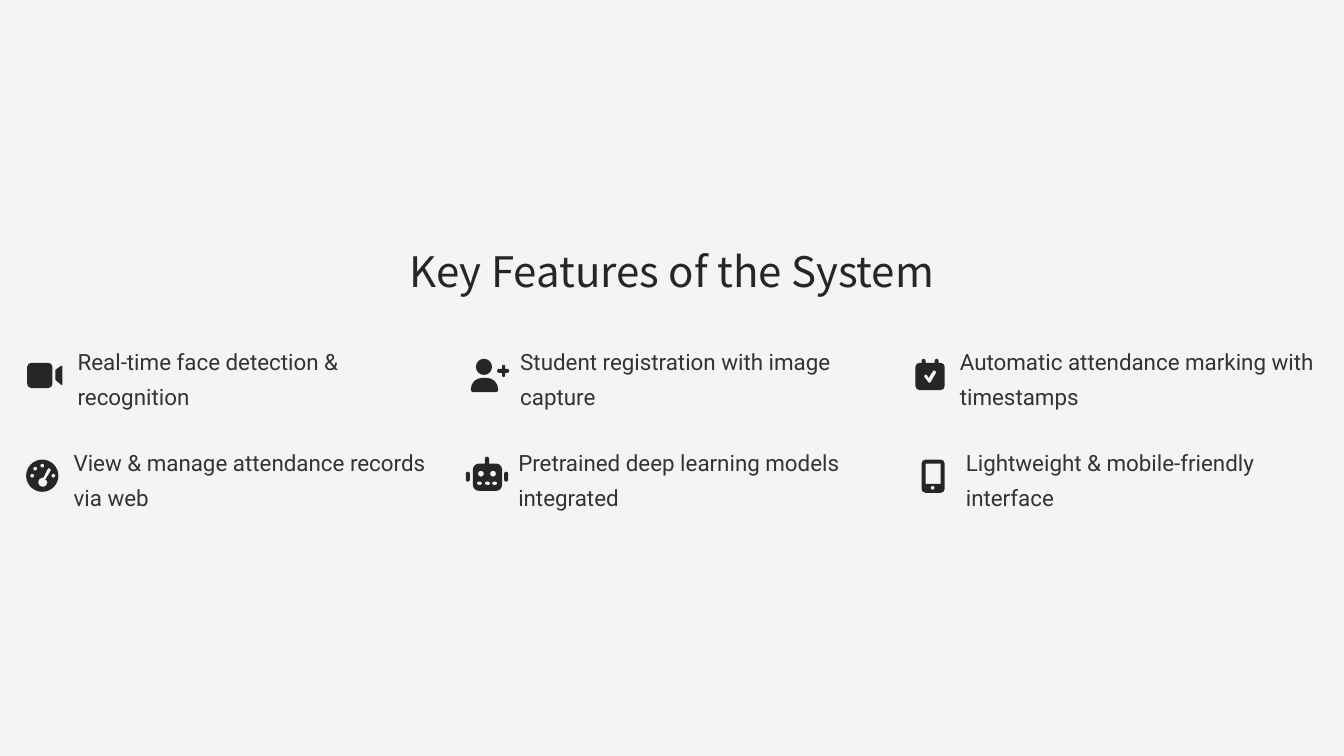
from math import dist

from lxml.etree import SubElement
from pptx import Presentation
from pptx.dml.color import RGBColor
from pptx.enum.text import MSO_ANCHOR, PP_ALIGN
from pptx.oxml.ns import qn
from pptx.util import Inches, Pt

MIDDLE = MSO_ANCHOR.MIDDLE
LEFT, CENTER = PP_ALIGN.LEFT, PP_ALIGN.CENTER

BACKGROUND = RGBColor(0xF3, 0xF4, 0xF6)
INK = RGBColor(0x26, 0x26, 0x26)
BODY = RGBColor(0x33, 0x33, 0x33)

SLIDE_WIDTH, SLIDE_HEIGHT = 13.33, 7.5
FIRST_ROW, ROW_STEP = 3.39, 1.0
FEATURE_HEIGHT = 0.67
ICON_OFFSET, ICON_HEIGHT = 0.17, 0.33
ROUNDNESS = 0.55


def rounded_box(left, top, right, bottom, radius):
    return [(left, top, radius), (right, top, radius),
            (right, bottom, radius), (left, bottom, radius)]


def circle(x, y, radius):
    return rounded_box(x - radius, y - radius, x + radius, y + radius, radius)


def toward(start, end, length):
    """The point that lies the given length from start on the way to end."""
    share = length / dist(start, end)
    return tuple(a + (b - a) * share for a, b in zip(start, end))


# An icon is a list of outlines; an outline is a list of corners (x, y, radius).
CAMERA = [
    rounded_box(0.27, 3.6, 0.52, 3.85, 0.04),
    [(0.55, 3.67, 0), (0.62, 3.62, 0.02), (0.62, 3.83, 0.02), (0.55, 3.77, 0)],
]
ADD_PERSON = [
    circle(4.8, 3.64, 0.08),
    [(4.67, 3.75, 0.11), (4.94, 3.75, 0.11), (4.94, 3.89, 0.02), (4.67, 3.89, 0.02)],
    [(4.98, 3.62, 0.01), (5.01, 3.62, 0.01), (5.01, 3.66, 0), (5.05, 3.66, 0.02),
     (5.05, 3.7, 0.02), (5.01, 3.7, 0), (5.01, 3.74, 0.01), (4.98, 3.74, 0.01),
     (4.98, 3.7, 0), (4.93, 3.7, 0.02), (4.93, 3.66, 0.02), (4.98, 3.66, 0)],
]
CALENDAR = [
    [(9.08, 3.6, 0.04), (9.14, 3.6, 0), (9.14, 3.56, 0.02), (9.18, 3.56, 0.02),
     (9.18, 3.6, 0), (9.27, 3.6, 0), (9.27, 3.56, 0.02), (9.31, 3.56, 0.02),
     (9.31, 3.6, 0), (9.37, 3.6, 0.04), (9.37, 3.87, 0.04), (9.08, 3.87, 0.04)],
    [(9.26, 3.67, 0.01), (9.29, 3.69, 0.01), (9.22, 3.81, 0.02),
     (9.16, 3.73, 0.01), (9.19, 3.71, 0.01), (9.21, 3.75, 0)],
]
GAUGE = [
    circle(0.42, 4.72, 0.16),
    *[circle(x, y, 0.02) for x, y in ((0.32, 4.72), (0.35, 4.65), (0.42, 4.62), (0.53, 4.72))],
    [(0.38, 4.74, 0.04), (0.43, 4.74, 0), (0.48, 4.64, 0.01), (0.51, 4.66, 0.01),
     (0.45, 4.76, 0), (0.47, 4.77, 0.01), (0.47, 4.83, 0.04), (0.38, 4.83, 0.04)],
]
ROBOT = [
    [(4.69, 4.6, 0.06), (4.81, 4.6, 0), (4.81, 4.53, 0.02), (4.85, 4.53, 0.02),
     (4.85, 4.6, 0), (4.98, 4.6, 0.06), (4.98, 4.87, 0.06), (4.69, 4.87, 0.06)],
    *[circle(x, 4.7, 0.03) for x in (4.77, 4.89)],
    *[rounded_box(left, 4.78, left + 0.05, 4.81, 0.01) for left in (4.73, 4.81, 4.88)],
    *[rounded_box(left, 4.68, left + 0.04, 4.78, 0.02) for left in (4.62, 5.0)],
]
PHONE = [
    rounded_box(9.14, 4.56, 9.37, 4.89, 0.04),
    rounded_box(9.18, 4.6, 9.33, 4.8, 0),
    circle(9.25, 4.84, 0.02),
]

# Each feature lists icon, icon left, icon width, text, text left, text width.
FEATURE_ROWS = [
    [(CAMERA, 0.25, 0.38, "Real-time face detection & recognition", 0.77, 3.47),
     (ADD_PERSON, 4.64, 0.42, "Student registration with image capture", 5.16, 3.49),
     (CALENDAR, 9.08, 0.29, "Automatic attendance marking with timestamps", 9.52, 3.54)],
    [(GAUGE, 0.26, 0.33, "View & manage attendance records via web", 0.73, 3.51),
     (ROBOT, 4.62, 0.42, "Pretrained deep learning models integrated", 5.14, 3.51),
     (PHONE, 9.13, 0.25, "Lightweight & mobile-friendly interface", 9.58, 3.47)],
]


class FeatureSlide:
    def __init__(self, slide):
        self.slide = slide
        slide.background.fill.solid()
        slide.background.fill.fore_color.rgb = BACKGROUND

    def icon(self, outlines, left, top, width, height):
        """Draw all outlines as one curved freeform inside the given frame."""
        right, bottom = Inches(left + width), Inches(top + height)
        builder = self.slide.shapes.build_freeform(Inches(left), Inches(top), scale=1.0)
        builder.add_line_segments(
            [(right, Inches(top)), (right, bottom), (Inches(left), bottom)], close=True)
        shape = builder.convert_to_shape()
        shape.shadow.inherit = False
        shape.fill.solid()
        shape.fill.fore_color.rgb = INK
        shape.line.fill.background()

        geometry = next(shape.element.iter(qn("a:path")))
        for child in list(geometry):
            geometry.remove(child)

        def segment(tag, *points):
            command = SubElement(geometry, qn(tag))
            for x, y in points:
                SubElement(command, qn("a:pt"), x=str(int(Inches(x - left))),
                           y=str(int(Inches(y - top))))

        for outline in outlines:
            for index, (x, y, radius) in enumerate(outline):
                corner = (x, y)
                before = outline[index - 1][:2]
                after = outline[(index + 1) % len(outline)][:2]
                entry = toward(corner, before, radius)
                segment("a:lnTo" if index else "a:moveTo", entry)
                if radius:
                    leave = toward(corner, after, radius)
                    segment("a:cubicBezTo", toward(entry, corner, radius * ROUNDNESS),
                            toward(leave, corner, radius * ROUNDNESS), leave)
            segment("a:close")

    def text(self, content, left, top, width, height, *, size=16, font="Roboto",
             color=BODY, align=LEFT, line_spacing=1.3):
        box = self.slide.shapes.add_textbox(
            Inches(left), Inches(top), Inches(width), Inches(height))
        frame = box.text_frame
        frame.word_wrap = True
        frame.vertical_anchor = MIDDLE
        frame.margin_left = frame.margin_top = frame.margin_right = frame.margin_bottom = 0
        paragraph = frame.paragraphs[0]
        paragraph.text = content
        paragraph.alignment = align
        paragraph.line_spacing = line_spacing
        paragraph.font.size = Pt(size)
        paragraph.font.name = font
        paragraph.font.color.rgb = color


def main():
    presentation = Presentation()
    presentation.slide_width = Inches(SLIDE_WIDTH)
    presentation.slide_height = Inches(SLIDE_HEIGHT)
    page = FeatureSlide(presentation.slides.add_slide(presentation.slide_layouts[6]))

    page.text("Key Features of the System", 0, 2.44, SLIDE_WIDTH, 0.5, size=30,
              font="Noto Sans CJK SC", color=INK, align=CENTER, line_spacing=None)
    for row, features in enumerate(FEATURE_ROWS):
        top = FIRST_ROW + row * ROW_STEP
        for icon, icon_left, icon_width, content, left, width in features:
            page.icon(icon, icon_left, top + ICON_OFFSET, icon_width, ICON_HEIGHT)
            page.text(content, left, top, width, FEATURE_HEIGHT)

    presentation.save("out.pptx")


if __name__ == "__main__":
    main()
